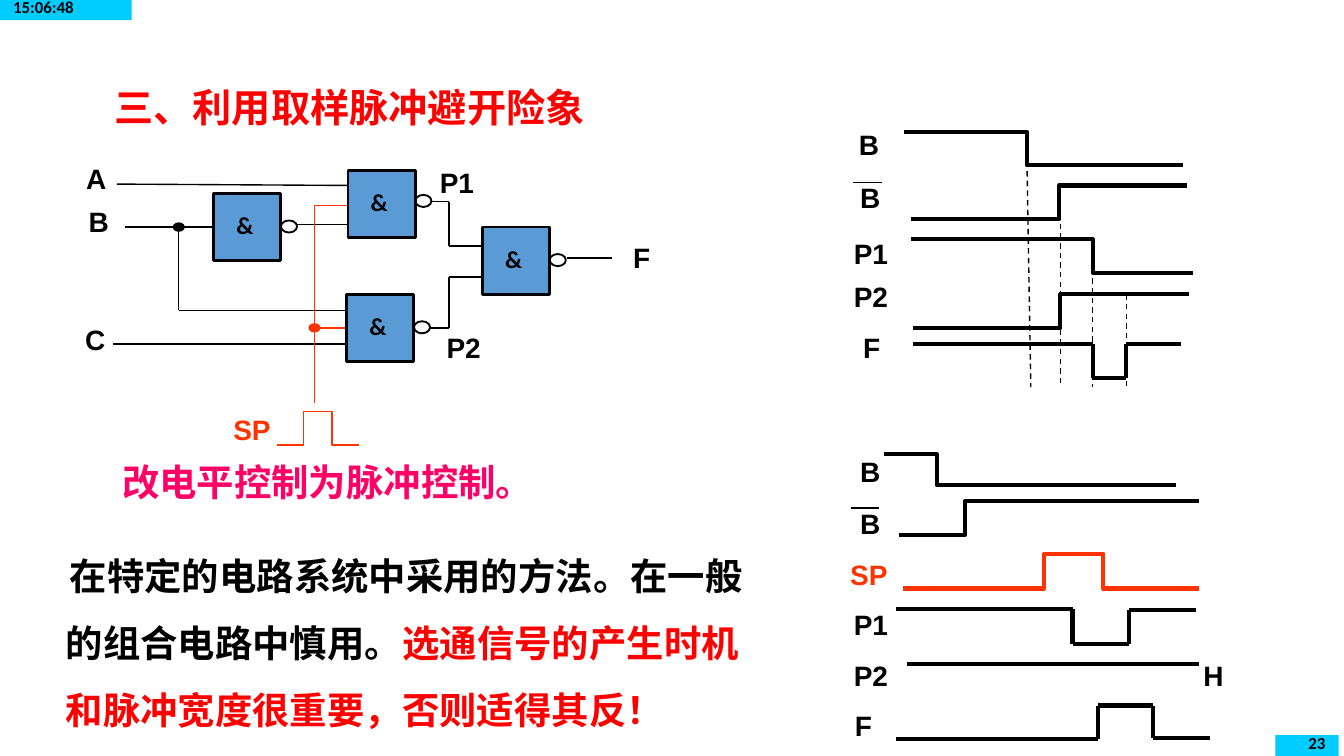
import itertools

import pptx
import pptx.dml.color
import pptx.enum.dml
import pptx.enum.shapes
import pptx.enum.text
import pptx.oxml.ns
import pptx.util
from lxml import etree

Inches = pptx.util.Inches
Pt = pptx.util.Pt
RGBColor = pptx.dml.color.RGBColor
Shape = pptx.enum.shapes.MSO_SHAPE
Align = pptx.enum.text.PP_ALIGN
Anchor = pptx.enum.text.MSO_ANCHOR
AutoSize = pptx.enum.text.MSO_AUTO_SIZE
DASH = pptx.enum.dml.MSO_LINE.DASH
qn = pptx.oxml.ns.qn

BLACK = RGBColor(0, 0, 0)
WHITE = RGBColor(255, 255, 255)
RED = RGBColor(255, 0, 0)
ORANGE = RGBColor(0xFF, 0x33, 0)
PINK = RGBColor(0xFF, 0, 0x66)
CYAN = RGBColor(0, 0xCC, 0xFF)
BLUE = RGBColor(0x5B, 0x9B, 0xD5)

CJK = "Noto Sans CJK JP"
THIN, THICK, GATE = 0.75, 2.25, 0.5


def apply(target, **formats):
    """Set every given attribute on the target."""
    for name, value in formats.items():
        setattr(target, name, value)


def paint(shape, fill=None, line=None, weight=THIN):
    """Give a shape its fill and outline and remove its shadow."""
    shape.shadow.inherit = False
    for part, color in ((shape.fill, fill), (shape.line.fill, line)):
        if color is None:
            part.background()
        else:
            part.solid()
            part.fore_color.rgb = color
    if line is not None:
        shape.line.width = Pt(weight)


def write(shape, runs, size, face, spacing=0.9, align=Align.LEFT, **frame):
    """Fill one paragraph with (text, colour) runs."""
    apply(shape.text_frame, **frame)
    paragraph = shape.text_frame.paragraphs[0]
    apply(paragraph, line_spacing=spacing, alignment=align, space_before=Pt(0))
    for text, color in runs:
        run = paragraph.add_run()
        run.text = text
        apply(run.font, name=face, size=Pt(size), bold=True)
        run.font.color.rgb = color
        if face == CJK:
            etree.SubElement(run.font._element, qn("a:ea")).set("typeface", CJK)
    return paragraph


def block(slide, kind, box, fill=None, line=None, weight=THIN):
    """Add a painted preset shape."""
    shape = slide.shapes.add_shape(kind, *map(Inches, box))
    paint(shape, fill, line, weight)
    return shape


def label(slide, text, left, top, width=0.39, color=BLACK):
    """Add a centred signal name."""
    box = slide.shapes.add_textbox(*map(Inches, (left, top, width, 0.33)))
    write(box, [(text, color)], 15, "Arial", align=Align.CENTER,
          word_wrap=False, auto_size=AutoSize.SHAPE_TO_FIT_TEXT)


def wires(slide, *points, weight=THIN, color=BLACK, dash=None):
    """Join successive points with straight connectors."""
    for start, end in itertools.pairwise(points):
        wire = slide.shapes.add_connector(
            pptx.enum.shapes.MSO_CONNECTOR.STRAIGHT, *map(Inches, start + end))
        wire.line.color.rgb = color
        apply(wire.line, width=Pt(weight), dash_style=dash)
        etree.SubElement(wire._element.spPr, qn("a:effectLst"))


def wave(slide, levels, edges, color=BLACK, weight=THICK):
    """Draw a square wave from its successive levels and its edge positions."""
    points = []
    for level, (start, end) in zip(levels, itertools.pairwise(edges)):
        points += [(Inches(start), Inches(level)), (Inches(end), Inches(level))]
    builder = slide.shapes.build_freeform(*points[0], scale=1.0)
    builder.add_line_segments(points[1:], close=False)
    paint(builder.convert_to_shape(), line=color, weight=weight)


def bubble(slide, left, top):
    """Draw the inverting circle of a gate."""
    block(slide, Shape.OVAL, (left, top, 0.12, 0.09), WHITE, BLACK, 1)


def gate(slide, left, top, bubble_top):
    """Draw a NAND gate with its sign and inverting circle."""
    bubble(slide, left + GATE, bubble_top)
    block(slide, Shape.RECTANGLE, (left, top, GATE, GATE), BLUE, BLACK, 1.5)
    sign = slide.shapes.add_textbox(
        *map(Inches, (left + 0.07, top + 0.1, 0.49, 0.3)))
    write(sign, [("&", BLACK)], 13, "Calibri", word_wrap=True)


def junction(slide, left, top, color):
    """Draw a dot where wires meet."""
    block(slide, Shape.OVAL, (left, top, 0.08, 0.06), color, color)


def tab(slide, text, box, align, **insets):
    """Add a cyan corner tab."""
    shape = block(slide, Shape.RECTANGLE, box, CYAN)
    write(shape, [(text, BLACK)], 9, "Calibri", align=align, word_wrap=True,
          vertical_anchor=Anchor.TOP, **insets)


def heading(slide, text):
    """Place and format the title."""
    title = slide.shapes.title
    apply(title, left=Inches(0.75), top=Inches(0.47),
          width=Inches(8.49), height=Inches(0.69))
    title.fill.solid()
    title.fill.fore_color.rgb = WHITE
    write(title, [(text, RED)], 21, "Calibri",
          vertical_anchor=Anchor.MIDDLE, auto_size=AutoSize.NONE)


def statement(slide, runs, box, spacing, margin, indent):
    """Add a wrapped paragraph with its own indents."""
    shape = slide.shapes.add_textbox(*map(Inches, box))
    paragraph = write(shape, runs, 20, CJK, spacing, word_wrap=True)
    properties = paragraph._p.get_or_add_pPr()
    properties.set("marL", str(Inches(margin)))
    properties.set("indent", str(Inches(indent)))


def hazard_timing(slide):
    """Draw the waveforms that show the hazard."""
    wave(slide, (0.98, 1.23), (6.73, 7.64, 8.8))
    wave(slide, (1.63, 1.38), (6.78, 7.88, 8.83))
    wave(slide, (1.78, 2.03), (6.78, 8.13, 8.88))
    wave(slide, (2.44, 2.19), (6.79, 7.89, 8.85))
    for start, end in (((7.64, 1.13), (7.67, 2.88)), ((7.89, 1.45), (7.89, 2.86)),
                       ((8.13, 2), (8.13, 2.88)), ((8.38, 2.19), (8.38, 2.88))):
        wires(slide, start, end, dash=DASH)
    wires(slide, (6.79, 2.56), (8.13, 2.56), (8.13, 2.81), (8.38, 2.81),
          (8.38, 2.56), (8.79, 2.56), weight=THICK)
    for name, left, top, width in (
            ("B", 6.27, 0.93, 0.39), ("B", 6.28, 1.32, 0.39),
            ("P1", 6.21, 1.74, 0.54), ("P2", 6.21, 2.06, 0.54),
            ("F", 6.3, 2.44, 0.37)):
        label(slide, name, left, top, width)
    wires(slide, (6.35, 1.36), (6.56, 1.36))


def circuit(slide):
    """Draw the gates with their wiring and sampling pulse."""
    wires(slide, (0.87, 1.37), (2.6, 1.38))
    wires(slide, (2.21, 1.67), (2.59, 1.67))
    wires(slide, (0.93, 1.69), (1.59, 1.69))
    wires(slide, (1.33, 1.69), (1.33, 2.31), (2.57, 2.31))
    wires(slide, (0.84, 2.56), (2.58, 2.56))
    wires(slide, (3.2, 1.5), (3.34, 1.5), (3.34, 1.83), (3.59, 1.83))
    wires(slide, (3.2, 2.44), (3.34, 2.44), (3.34, 2.06), (3.59, 2.06))
    wires(slide, (4.22, 1.92), (4.55, 1.92))
    wave(slide, (1.53, 3), (2.66, 2.34, 2.34), ORANGE, THIN)
    wave(slide, (3.31, 3.06, 3.31), (2.06, 2.26, 2.47, 2.67), ORANGE, THIN)
    wires(slide, (2.34, 2.44), (2.59, 2.44), color=ORANGE)
    junction(slide, 2.3, 2.41, ORANGE)
    junction(slide, 1.29, 1.66, BLACK)
    for left, top, bubble_top in ((1.59, 1.44, 1.64), (2.59, 1.27, 1.45),
                                  (2.58, 2.19, 2.39), (3.59, 1.69, 1.89)):
        gate(slide, left, top, bubble_top)
    for name, left, top, width in (
            ("A", 0.52, 1.18, 0.39), ("B", 0.54, 1.5, 0.39),
            ("C", 0.51, 2.38, 0.4), ("F", 4.59, 1.77, 0.37),
            ("P1", 3.13, 1.21, 0.54), ("P2", 3.18, 2.44, 0.54)):
        label(slide, name, left, top, width)
    label(slide, "SP", 1.59, 3.05, 0.57, ORANGE)


def sampled_timing(slide):
    """Draw the waveforms under pulse control."""
    wave(slide, (3.38, 3.61), (6.58, 6.97, 8.75))
    wave(slide, (3.98, 3.73), (6.69, 7.18, 8.92))
    wave(slide, (4.38, 4.12, 4.38), (6.72, 7.77, 8.21, 8.92), ORANGE)
    for name, left, top, width in (
            ("B", 6.28, 3.36, 0.39), ("B", 6.28, 3.75, 0.39),
            ("P1", 6.21, 4.5, 0.54), ("P2", 6.21, 4.88, 0.54),
            ("H", 8.83, 4.88, 0.4), ("F", 6.25, 5.25, 0.35)):
        label(slide, name, left, top, width)
    label(slide, "SP", 6.18, 4.13, 0.57, ORANGE)
    wires(slide, (6.33, 3.78), (6.54, 3.78))
    wires(slide, (6.67, 4.53), (7.98, 4.53), (7.98, 4.79), (8.4, 4.79),
          (8.4, 4.54), (8.9, 4.54), weight=THICK)
    wires(slide, (6.75, 4.94), (8.92, 4.94), weight=THICK)
    wires(slide, (6.67, 5.5), (8.17, 5.5), (8.17, 5.25), (8.58, 5.25),
          (8.58, 5.49), (9, 5.49), weight=THICK)


def main():
    """Build the slide and save it."""
    deck = pptx.Presentation()
    apply(deck, slide_width=Inches(10), slide_height=Inches(10) * 9 // 16)
    slide = deck.slides.add_slide(deck.slide_layouts[5])
    heading(slide, "三、利用取样脉冲避开险象")
    tab(slide, "15:06:48", (0, -0.02, 0.98, 0.17), Align.LEFT,
        margin_top=Inches(0.01))
    tab(slide, "23", (9.49, 5.47, 0.47, 0.16), Align.RIGHT,
        margin_left=Inches(0.02), margin_top=Inches(0))
    statement(slide, [("改电平控制为脉冲控制。", PINK)],
              (0.66, 3.46, 4.97, 0.46), 0.7, 0.15, 0)
    hazard_timing(slide)
    circuit(slide)
    sampled_timing(slide)
    statement(slide, [("在特定的电路系统中采用的方法。在一般的组合电路中慎用。", BLACK),
                      ("选通信号的产生时机和脉冲宽度很重要，否则适得其反！", RED)],
              (0.2, 3.9, 5.55, 1.43), 1.5, 0.19, 0.03)
    deck.save("out.pptx")


if __name__ == "__main__":
    main()
